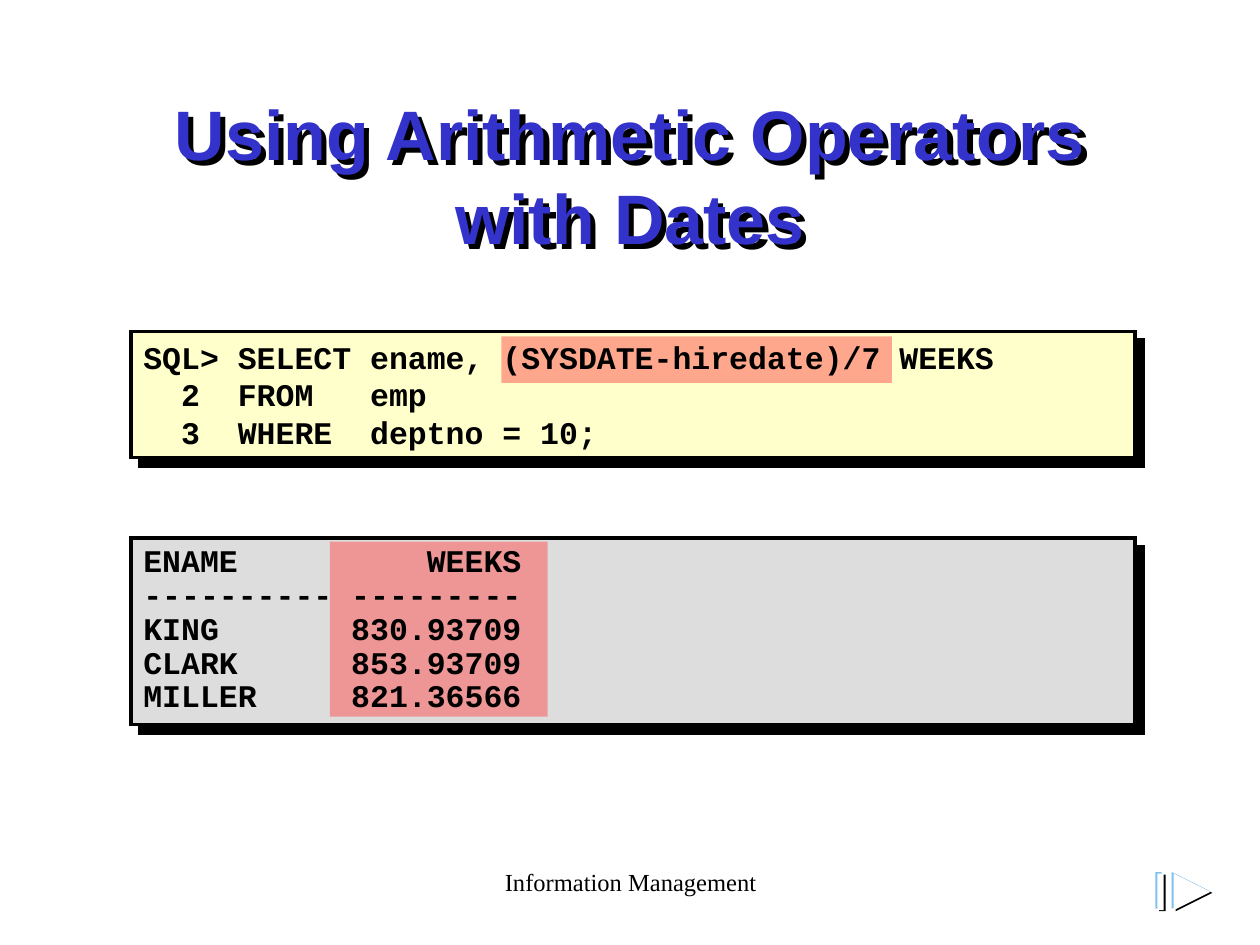
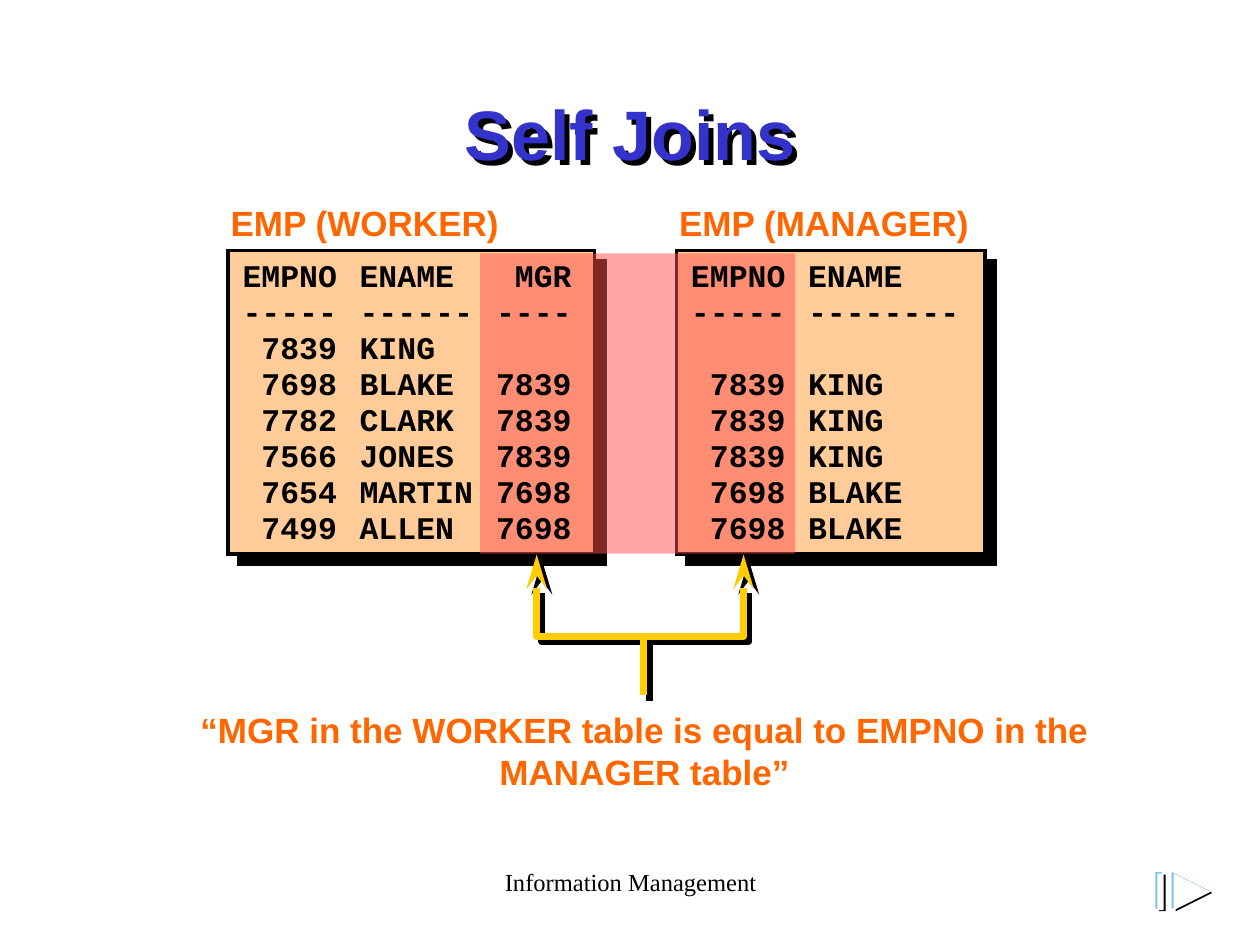
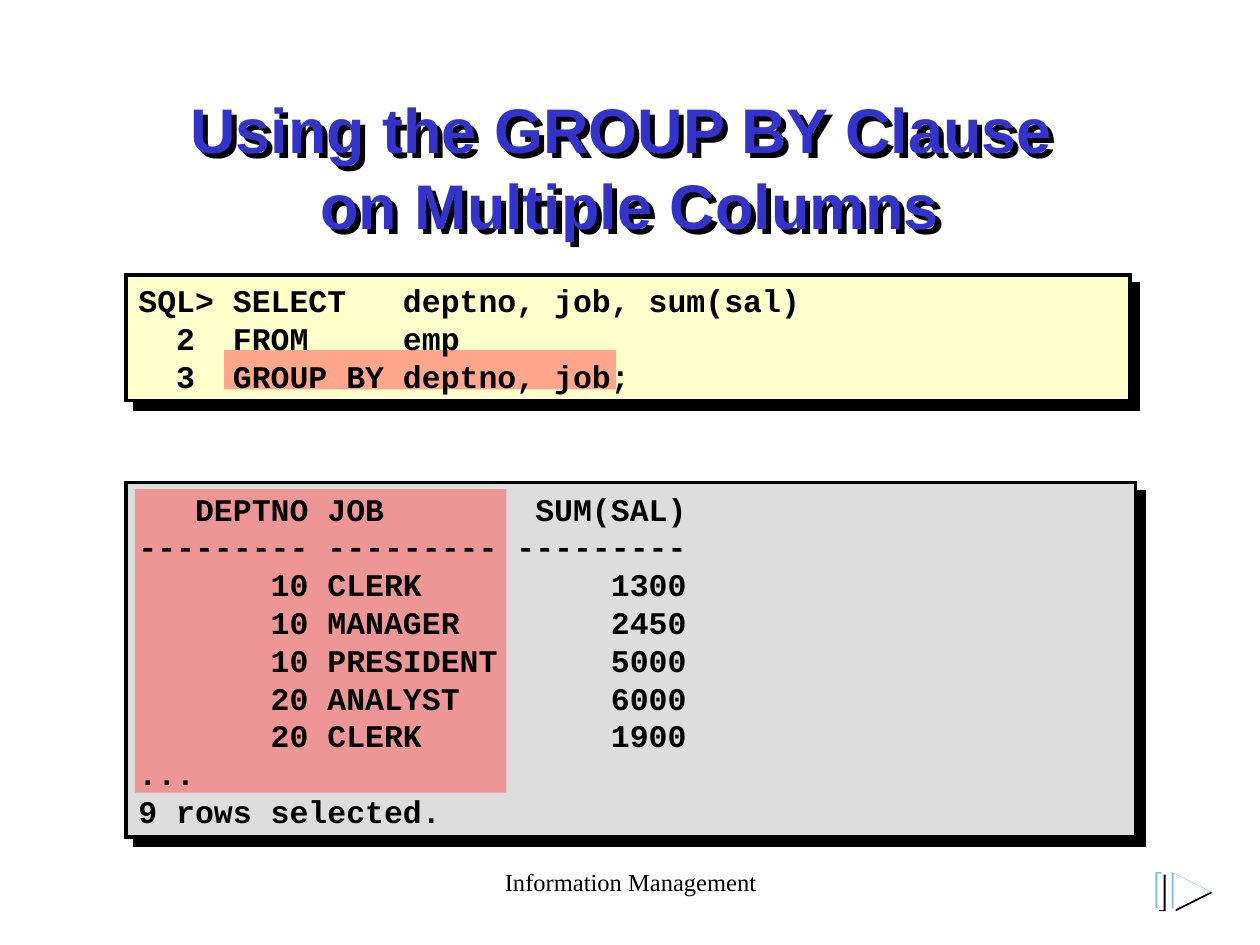
from lxml import etree
from pptx import Presentation
from pptx.dml.color import RGBColor
from pptx.enum import shapes, text
from pptx.oxml import ns
from pptx.util import Cm, Pt

COLORS = {
    "title": "3333CC", "ink": "000000", "label": "FF6600", "paper": "FFFFFF",
    "code": "FFFFCC", "result": "DDDDDD", "table": "FFCC99",
    "highlight": "FF5050", "arrow": "FFCC00", "icon": "7FC1EB",
}
SANS, MONO, SERIF = "Arial", "Courier New", "Times New Roman"
LINE_HEIGHT = 1.2
TITLE_BOX = (1.9, 1.7, 21.6, 3.18)
FOOTER_BOX = (8.69, 17.35, 8.05, 1.27)
ICON_BOX = (23.29, 17.58, 1.07, 0.74)
TABLE_LABEL_SIZE = (7.4, 1.09)
MIDDLE, TOP = text.MSO_ANCHOR.MIDDLE, text.MSO_ANCHOR.TOP
LEFT, CENTER = text.PP_ALIGN.LEFT, text.PP_ALIGN.CENTER


def rgb(name):
    return RGBColor.from_string(COLORS[name])


def add_child(parent, tag, **attributes):
    child = etree.SubElement(parent, ns.qn(tag))
    for key, value in attributes.items():
        child.set(key, str(value))
    return child


def set_shadow(part, distance=0):
    """Give a solid diagonal shadow, or none; call after fill and line are set."""
    properties = part._element.spPr
    for inherited in properties.findall(ns.qn("a:effectLst")):
        properties.remove(inherited)
    effects = add_child(properties, "a:effectLst")
    if distance:
        shadow = add_child(effects, "a:outerShdw", dist=Pt(distance), dir=2700000,
                           algn="ctr", rotWithShape=0)
        add_child(shadow, "a:srgbClr", val=COLORS["ink"])


def paint(part, fill, outline=None, alpha=None):
    part.fill.solid()
    part.fill.fore_color.rgb = rgb(fill)
    if alpha:
        color = part._element.spPr.find(ns.qn("a:solidFill"))[0]
        add_child(color, "a:alpha", val=alpha * 1000)
    if outline:
        part.line.color.rgb = rgb(outline)
        part.line.width = Pt(2)
        add_child(part.line._get_or_add_ln(), "a:miter", lim=800000)
    else:
        part.line.fill.background()


def add_rect(slide, box, fill, outline=None, alpha=None, shadow=0):
    rect = slide.shapes.add_shape(shapes.MSO_SHAPE.RECTANGLE, *map(Cm, box))
    paint(rect, fill, outline, alpha)
    set_shadow(rect, shadow)


def add_highlight(slide, box):
    add_rect(slide, box, "highlight", alpha=50)


def format_text(frame, font, size, color, bold=True, align=LEFT, anchor=TOP,
                spacing=1, tabs=()):
    frame.word_wrap = True
    frame.auto_size = text.MSO_AUTO_SIZE.NONE
    frame.vertical_anchor = anchor
    for paragraph in frame.paragraphs:
        paragraph.alignment = align
        paragraph.line_spacing = Pt(size * LINE_HEIGHT * spacing)
        if tabs:
            stops = add_child(paragraph._p.get_or_add_pPr(), "a:tabLst")
            for position in tabs:
                add_child(stops, "a:tab", pos=Cm(position), algn="l")
        for run in paragraph.runs:
            run.font.name = font
            run.font.size = Pt(size)
            run.font.bold = bold
            run.font.color.rgb = rgb(color)


def add_text(slide, box, content, font, size, color, **style):
    frame = slide.shapes.add_textbox(*map(Cm, box)).text_frame
    frame.text = content
    format_text(frame, font, size, color, **style)


def add_forward_icon(slide, box):
    left, top, width, height = box
    layers = (("ink", 0.08, 0.05), ("icon", 0, 0), ("paper", 0.04, 0.03))
    for color, dx, dy in layers:
        add_rect(slide, (left + dx, top + dy, 0.13, height), color)
    for color, dx, dy in layers:
        x, y = left + 0.33 + dx, top + dy
        builder = slide.shapes.build_freeform(Cm(left + width + dx), Cm(y + height / 2))
        builder.add_line_segments([(Cm(x), Cm(y)), (Cm(x), Cm(y + height))], close=True)
        triangle = builder.convert_to_shape()
        paint(triangle, color)
        set_shadow(triangle)


def add_titled_slide(deck, heading, size=40):
    slide = deck.slides.add_slide(deck.slide_layouts[5])
    title = slide.shapes.title
    title.left, title.top, title.width, title.height = map(Cm, TITLE_BOX)
    title.text_frame.text = heading
    format_text(title.text_frame, SANS, size, "title", align=CENTER)
    set_shadow(title, 4.2)
    add_text(slide, FOOTER_BOX, "Information Management", SERIF, 14, "ink",
             bold=False, align=CENTER)
    add_forward_icon(slide, ICON_BOX)
    return slide


def add_listing(slide, box, fill, lines, mark, **style):
    """Draw a listing panel; mark is the highlighted area relative to its corner."""
    left, top = box[:2]
    dx, dy, width, height = mark
    add_rect(slide, box, fill, outline="ink", shadow=7.1)
    add_highlight(slide, (left + dx, top + dy, width, height))
    add_text(slide, box, "\n".join(lines), MONO, 18, "ink", **style)


def add_join_tables(slide, tables, mark):
    """Draw the tables side by side, with the highlight between panels and rows."""
    for box, _, _ in tables:
        add_rect(slide, box, "table", outline="ink", shadow=8.5)
    add_highlight(slide, mark)
    for (left, top, width, height), name, rows in tables:
        add_text(slide, (left - 0.2, top - 1.11, *TABLE_LABEL_SIZE), name,
                 SANS, 20, "label")
        add_text(slide, (left + 0.04, top + 0.03, width, height), "\n".join(rows),
                 MONO, 18, "ink", spacing=0.95, tabs=(2.36, 5.11))


def add_join_fork(slide, box, bar_height, stem_offset):
    left, top, width, height = box
    right, bar = left + width, top + bar_height
    builder = slide.shapes.build_freeform(Cm(left), Cm(top))
    builder.add_line_segments(
        [(Cm(left), Cm(bar)), (Cm(right), Cm(bar)), (Cm(right), Cm(top))], close=False)
    fork = builder.convert_to_shape()
    fork.fill.background()
    stem_x = Cm(left + stem_offset)
    stem = slide.shapes.add_connector(shapes.MSO_CONNECTOR.STRAIGHT, stem_x, Cm(bar),
                                      stem_x, Cm(top + height))
    for part in (fork, stem):
        part.line.color.rgb = rgb("arrow")
        part.line.width = Pt(4)
    outline = fork.line._get_or_add_ln()
    add_child(outline, "a:round")
    for end in ("a:headEnd", "a:tailEnd"):
        add_child(outline, end, type="stealth", w="med", len="lg")
    for part in (fork, stem):
        set_shadow(part, 4.2)


def build_dates_slide(deck):
    slide = add_titled_slide(deck, "Using Arithmetic Operators\vwith Dates")
    add_listing(slide, (2.64, 6.68, 20.24, 2.54), "code", [
        "SQL> SELECT ename, (SYSDATE-hiredate)/7 WEEKS",
        "  2  FROM   emp",
        "  3  WHERE  deptno = 10;",
    ], mark=(7.47, 0.1, 7.87, 0.94), anchor=MIDDLE)
    add_listing(slide, (2.64, 10.85, 20.24, 3.76), "result", [
        "ENAME          WEEKS",
        "---------- ---------",
        "KING       830.93709",
        "CLARK      853.93709",
        "MILLER     821.36566",
    ], mark=(4.01, 0.07, 4.39, 3.53), spacing=0.9)


def build_self_join_slide(deck):
    slide = add_titled_slide(deck, "Self Joins")
    worker_rows = [
        "EMPNO\tENAME\t MGR\v-----\t------\t----\v 7839\tKING\t",
        " 7698\tBLAKE\t7839",
        " 7782\tCLARK\t7839",
        " 7566\tJONES\t7839",
        " 7654\tMARTIN\t7698",
        " 7499\tALLEN\t7698",
    ]
    manager_rows = (["EMPNO\tENAME\v-----\t--------\v"]
                    + [" 7839\tKING"] * 3 + [" 7698\tBLAKE"] * 2)
    add_join_tables(slide, [
        ((4.6, 5.05, 7.39, 6.12), "EMP (WORKER)", worker_rows),
        ((13.64, 5.05, 6.22, 6.12), "EMP (MANAGER)", manager_rows),
    ], mark=(9.68, 5.11, 6.35, 6.05))
    add_join_fork(slide, (10.82, 11.18, 4.17, 2.84), bar_height=1.65, stem_offset=2.16)
    add_text(slide, (3.71, 14.15, 18.57, 1.96),
             "“MGR in the WORKER table is equal to EMPNO in the MANAGER table”",
             SANS, 20, "label", align=CENTER)


def build_group_by_slide(deck):
    slide = add_titled_slide(deck, "Using the GROUP BY Clause \von Multiple Columns", 36)
    add_listing(slide, (2.54, 5.54, 20.24, 2.54), "code", [
        "SQL> SELECT   deptno, job, sum(sal)",
        "  2  FROM     emp",
        "  3  GROUP BY deptno, job;",
    ], mark=(1.98, 1.52, 7.9, 0.79), anchor=MIDDLE)
    add_listing(slide, (2.54, 9.73, 20.35, 7.14), "result", [
        "   DEPTNO JOB        SUM(SAL)",
        "--------- --------- ---------",
        "       10 CLERK          1300",
        "       10 MANAGER        2450",
        "       10 PRESIDENT      5000",
        "       20 ANALYST        6000",
        "       20 CLERK          1900",
        "...",
        "9 rows selected.",
    ], mark=(0.18, 0.13, 7.49, 6.12), anchor=MIDDLE)


def main():
    deck = Presentation()
    deck.slide_width, deck.slide_height = Cm(25.4), Cm(19.05)
    build_dates_slide(deck)
    build_self_join_slide(deck)
    build_group_by_slide(deck)
    deck.save("out.pptx")


if __name__ == "__main__":
    main()
